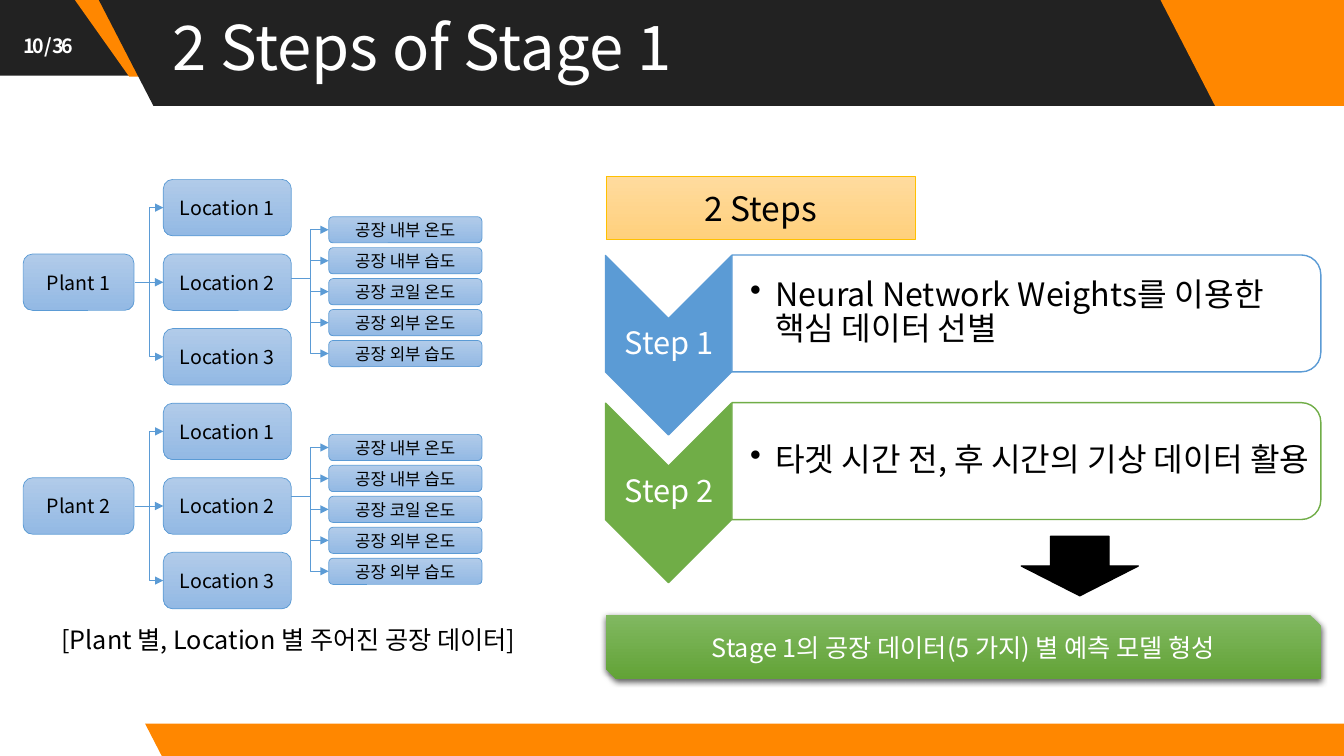
from lxml.etree import SubElement
from pptx import Presentation
from pptx.dml.color import RGBColor
from pptx.enum.shapes import MSO_CONNECTOR, MSO_SHAPE
from pptx.enum.text import MSO_ANCHOR, PP_ALIGN
from pptx.oxml.ns import qn
from pptx.util import Inches, Pt

FONT = "Noto Sans CJK KR"
WHITE = RGBColor(0xFF, 0xFF, 0xFF)
BLACK = RGBColor(0x00, 0x00, 0x00)
DARK = RGBColor(0x22, 0x22, 0x22)
ORANGE = RGBColor(0xFF, 0x87, 0x00)
BLUE = RGBColor(0x5B, 0x9B, 0xD5)
GREEN = RGBColor(0x70, 0xAD, 0x47)
GOLD = RGBColor(0xFF, 0xC0, 0x00)
BLUE_GRADIENT = (RGBColor(0xB1, 0xCB, 0xE9), RGBColor(0x93, 0xB9, 0xE4))
GREEN_GRADIENT = (RGBColor(0x81, 0xB8, 0x61), RGBColor(0x62, 0xA3, 0x36))
GOLD_GRADIENT = (RGBColor(0xFF, 0xDB, 0x9E), RGBColor(0xFF, 0xD0, 0x7C))

BANDS = [
    ((1.44, 7.18, 12.2, 0.33), 0.515, ORANGE),
    ((-1.23, -0.34, 2.57, 1.09), 0.515, DARK),
    ((0.51, -0.33, 1.03, 1.09), 0.75, ORANGE),
    ((0.96, -0.04, 11.48, 1.09), 0.515, DARK),
    ((11.49, -0.04, 2.57, 1.09), 0.515, ORANGE),
]
PLANTS = [("Plant 1", 1.78, 2.15), ("Plant 2", 4.0, 4.31)]
LOCATIONS = ["Location 1", "Location 2", "Location 3"]
READINGS = ["공장 내부 온도", "공장 내부 습도", "공장 코일 온도", "공장 외부 온도", "공장 외부 습도"]
STEPS = [
    ("Step 1", "Neural Network Weights를 이용한 핵심 데이터 선별", BLUE),
    ("Step 2", "타겟 시간 전, 후 시간의 기상 데이터 활용", GREEN),
]
LOCATION_PITCH = 0.74
READING_PITCH = 0.307
STEP_PITCH = 1.465
BOX_HEIGHT = 0.56
READING_HEIGHT = 0.26


def write_text(shape, text, size, color, align=PP_ALIGN.CENTER, insets=(0.1, 0.05, 0.1, 0.05)):
    frame = shape.text_frame
    frame.word_wrap = True
    frame.vertical_anchor = MSO_ANCHOR.MIDDLE
    frame.margin_left, frame.margin_top, frame.margin_right, frame.margin_bottom = map(Inches, insets)
    frame.text = text
    paragraph = frame.paragraphs[0]
    paragraph.alignment = align
    run = paragraph.runs[0]
    run.font.size = Pt(size)
    run.font.name = FONT
    run.font.color.rgb = color
    SubElement(run.font._element, qn("a:ea"), typeface=FONT)
    return paragraph


def add_text(slide, box, text, size, color, **options):
    shape = slide.shapes.add_textbox(*map(Inches, box))
    return shape, write_text(shape, text, size, color, **options)


def add_block(slide, kind, box, fill, line=None, width=1, rotation=0):
    shape = slide.shapes.add_shape(kind, *map(Inches, box))
    shape.shadow.inherit = False
    shape.rotation = rotation
    if isinstance(fill, tuple) and not isinstance(fill, RGBColor):
        shape.fill.gradient()
        shape.fill.gradient_angle = 270
        for stop, color in zip(shape.fill.gradient_stops, fill):
            stop.color.rgb = color
    else:
        shape.fill.solid()
        shape.fill.fore_color.rgb = fill
    if line is None:
        shape.line.fill.background()
    else:
        shape.line.color.rgb = line
        shape.line.width = Pt(width)
    return shape


def add_band(slide, box, slant, color):
    band = add_block(slide, MSO_SHAPE.PARALLELOGRAM, box, color)
    band.adjustments[0] = slant
    band._element.spPr.get_or_add_xfrm().set("flipH", "1")


def add_node(slide, box, text, size):
    node = add_block(slide, MSO_SHAPE.ROUNDED_RECTANGLE, box, BLUE_GRADIENT, BLUE, 0.5)
    write_text(node, text, size, BLACK)


def add_arrow(slide, start, end):
    kind = MSO_CONNECTOR.STRAIGHT if start[1] == end[1] else MSO_CONNECTOR.ELBOW
    arrow = slide.shapes.add_connector(kind, *map(Inches, start + end))
    arrow.line.color.rgb = BLUE
    arrow.line.width = Pt(0.5)
    SubElement(arrow.line._get_or_add_ln(), qn("a:tailEnd"), type="triangle")
    SubElement(arrow._element.spPr, qn("a:effectLst"))


def add_plant(slide, name, top, readings_top):
    plant_top = top + LOCATION_PITCH
    plant_middle = plant_top + BOX_HEIGHT / 2
    add_node(slide, (0.23, plant_top, 1.1, BOX_HEIGHT), name, 14)
    for index, location in enumerate(LOCATIONS):
        location_top = top + index * LOCATION_PITCH
        add_node(slide, (1.62, location_top, 1.27, BOX_HEIGHT), location, 14)
        end_y = plant_middle + (index - 1) * LOCATION_PITCH
        add_arrow(slide, (1.34, plant_middle), (1.62, end_y))
    for index, reading in enumerate(READINGS):
        reading_top = readings_top + index * READING_PITCH
        add_node(slide, (3.26, reading_top, 1.52, READING_HEIGHT), reading, 12)
        add_arrow(slide, (2.89, readings_top + 0.61), (3.26, reading_top + READING_HEIGHT / 2))


def add_step(slide, offset, label, description, color):
    add_block(slide, MSO_SHAPE.CHEVRON, (5.74, 2.8 + offset, 1.78, 1.25), color, color, rotation=90)
    label_paragraph = add_text(slide, (6.01, 3.15 + offset, 1.25, 0.54), label, 22, WHITE,
                               insets=(0.02, 0.02, 0.02, 0.02))[1]
    label_paragraph.line_spacing = 0.9
    add_block(slide, MSO_SHAPE.ROUND_2_SAME_RECTANGLE, (9.6, 0.19 + offset, 1.16, 5.84),
              WHITE, color, rotation=90)
    paragraph = add_text(slide, (7.26, 2.58 + offset, 5.79, 1.05), description, 23, BLACK,
                         align=PP_ALIGN.LEFT, insets=(0.18, 0.02, 0.02, 0.02))[1]
    paragraph.line_spacing = 0.9
    properties = paragraph._p.get_or_add_pPr()
    properties.set("marL", str(Inches(0.25)))
    properties.set("indent", str(-Inches(0.25)))
    SubElement(properties, qn("a:buChar"), char="•")


def add_result(slide):
    add_block(slide, MSO_SHAPE.DOWN_ARROW, (10.13, 5.32, 1.16, 0.59), BLACK, BLACK)
    result = add_block(slide, MSO_SHAPE.SNIP_2_DIAG_RECTANGLE, (6.01, 6.1, 7.09, 0.64), GREEN_GRADIENT)
    effects = result._element.spPr.find(qn("a:effectLst"))
    shadow = SubElement(effects, qn("a:outerShdw"), blurRad=str(Pt(4.5)), dist=str(Pt(1.5)),
                        dir="5400000", algn="ctr", rotWithShape="0")
    shadow_color = SubElement(shadow, qn("a:srgbClr"), val=str(BLACK))
    SubElement(shadow_color, qn("a:alpha"), val="63000")
    write_text(result, "Stage 1의 공장 데이터(5 가지) 별 예측 모델 형성", 18, WHITE)


def add_header(slide):
    for band in BANDS:
        add_band(slide, *band)
    number = add_text(slide, (-0.08, 0.27, 1.12, 0.36), "10 / 36", 14, WHITE,
                      insets=(0.04, 0, 0.04, 0))[1]
    number.runs[0].font.bold = True
    number.runs[0].font._element.set("spc", "-150")
    title = add_text(slide, (1.61, -0.04, 9.81, 1.09), "2 Steps of Stage 1", 44, WHITE,
                     align=PP_ALIGN.LEFT, insets=(0.1, 0.1, 0.1, 0.1))[1]
    title.line_spacing = 0.9


def main():
    presentation = Presentation()
    presentation.slide_width = Inches(13.33)
    presentation.slide_height = Inches(7.5)
    slide = presentation.slides.add_slide(presentation.slide_layouts[6])
    add_header(slide)
    for plant in PLANTS:
        add_plant(slide, *plant)
    caption = add_text(slide, (0.51, 6.14, 5.01, 0.4), "[Plant 별, Location 별 주어진 공장 데이터]",
                       18, BLACK, align=PP_ALIGN.LEFT)[0]
    caption.text_frame.word_wrap = False
    heading = add_block(slide, MSO_SHAPE.RECTANGLE, (6.01, 1.75, 3.07, 0.63), GOLD_GRADIENT, GOLD, 0.5)
    write_text(heading, "2 Steps", 24, BLACK)
    for index, step in enumerate(STEPS):
        add_step(slide, index * STEP_PITCH, *step)
    add_result(slide)
    presentation.save("out.pptx")


if __name__ == "__main__":
    main()
